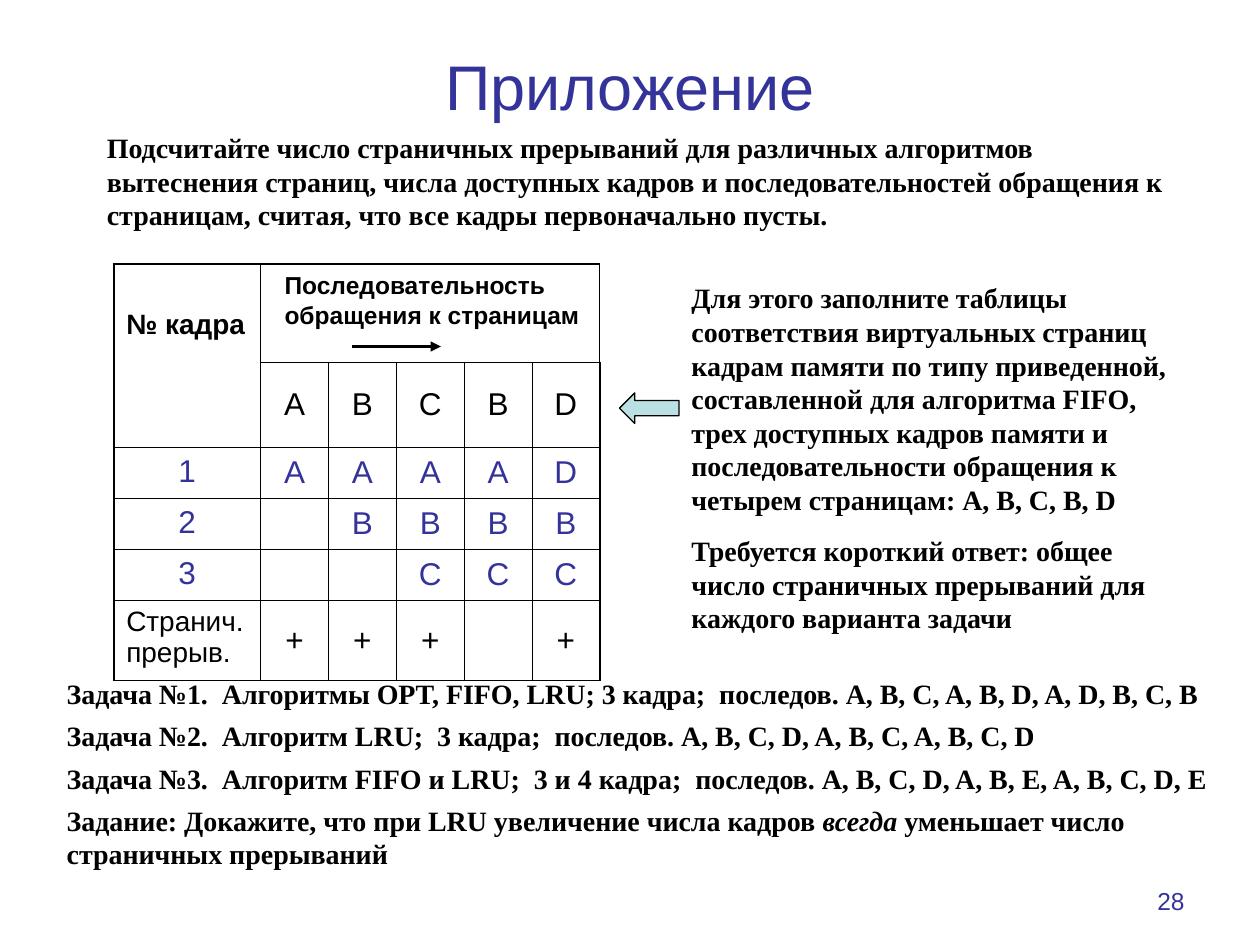
import pptx
import pptx.dml.color
import pptx.enum.dml
import pptx.enum.shapes
import pptx.enum.text
import pptx.oxml
import pptx.oxml.ns
import pptx.util
from lxml import etree

Pt = pptx.util.Pt
ALIGN = pptx.enum.text.PP_ALIGN
ANCHOR = pptx.enum.text.MSO_ANCHOR
COLORS = {"black": "000000", "navy": "333399", "arrow": "BBE0E3"}
BODY = {"name": "Times New Roman", "size": Pt(16), "bold": True}
ARIAL = {"name": "Arial", "size": Pt(18), "bold": False}

INTRO = ["Подсчитайте число страничных прерываний для различных алгоритмов "
         "вытеснения страниц, числа доступных кадров и последовательностей "
         "обращения к страницам, считая, что все кадры первоначально пусты."]
GUIDE = ["Для этого заполните таблицы соответствия виртуальных страниц кадрам "
         "памяти по типу приведенной, составленной для алгоритма FIFO, трех "
         "доступных кадров памяти и последовательности обращения к четырем "
         "страницам: А, B, C, B, D",
         "Требуется короткий ответ: общее число страничных прерываний для "
         "каждого варианта задачи"]
TASKS = ["Задача №1.  Алгоритмы OPT, FIFO, LRU; 3 кадра;  последов. "
         "A, B, C, A, B, D, A, D, B, C, B",
         "Задача №2.  Алгоритм LRU;  3 кадра;  последов. "
         "A, B, C, D, A, B, C, A, B, C, D",
         "Задача №3.  Алгоритм FIFO и LRU;  3 и 4 кадра;  последов. "
         "A, B, C, D, A, B, E, A, B, C, D, E",
         "Задание: Докажите, что при LRU увеличение числа кадров *всегда* "
         "уменьшает число страничных прерываний"]
FRAMES = [["№ кадра", "", "", "", "", ""],
          ["", "А", "B", "C", "B", "D"],
          ["1", "А", "A", "A", "A", "D"],
          ["2", "", "B", "B", "B", "B"],
          ["3", "", "", "C", "C", "C"],
          ["Cтранич. прерыв.", "+", "+", "+", "", "+"]]
ROW_HEIGHTS = [56, 31, 29, 29, 29, 46]
COL_WIDTHS = [84] + [38.75] * 5


def rgb(color):
    return pptx.dml.color.RGBColor.from_string(COLORS[color])


def write(tf, paragraphs, font, color="black", align=ALIGN.LEFT, before=0):
    """Fill a text frame; words between asterisks become italic."""
    tf.word_wrap = True
    for i, text in enumerate(paragraphs):
        p = tf.paragraphs[0] if i == 0 else tf.add_paragraph()
        p.alignment, p.space_before = align, Pt(before)
        for j, part in enumerate(text.split("*")):
            r = p.add_run()
            r.text = part
            for key, value in font.items():
                setattr(r.font, key, value)
            r.font.color.rgb = rgb(color)
            if j % 2:
                r.font.italic = True


def add_text(s, box, paragraphs, font, **style):
    sp = s.shapes.add_textbox(*map(Pt, box))
    write(sp.text_frame, paragraphs, font, **style)


def set_title(s, box, text):
    sp = s.shapes.title
    sp.left, sp.top, sp.width, sp.height = map(Pt, box)
    sp.text_frame.vertical_anchor = ANCHOR.MIDDLE
    write(sp.text_frame, [text], {**ARIAL, "size": Pt(36)}, "navy", ALIGN.CENTER)


def set_borders(cell, widths):
    """Draw cell edges; widths maps L, R, T, B to points."""
    tcPr = cell._tc.get_or_add_tcPr()
    for i, (side, width) in enumerate(widths.items()):
        ln = pptx.oxml.parse_xml(
            f'<a:ln{side} {pptx.oxml.ns.nsdecls("a")} w="{int(Pt(width))}">'
            f'<a:solidFill><a:srgbClr val="{COLORS["black"]}"/></a:solidFill>'
            f'</a:ln{side}>')
        tcPr.insert(i, ln)


def format_cell(cell, text, row, col):
    last_row, last_col = len(ROW_HEIGHTS) - 1, len(COL_WIDTHS) - 1
    cell.fill.background()
    outer = {"L": col == 0, "R": col == last_col,
             "T": row == 0, "B": row == last_row}
    set_borders(cell, {k: 1.08 if edge else 0.45 for k, edge in outer.items()})
    label = col == 0 and row in (0, last_row)
    cell.vertical_anchor = ANCHOR.TOP if col == 0 else ANCHOR.MIDDLE
    if text:
        font = {**ARIAL, "size": Pt(16 if label else 18), "bold": row == 0}
        write(cell.text_frame, [text], font,
              "navy" if 2 <= row < last_row else "black",
              ALIGN.LEFT if label else ALIGN.CENTER, 4)


def add_frame_table(s, left, top):
    """Page table with its header caption and direction arrow."""
    add_text(s, (left + 90.5, top, 193, 41),
             ["Последовательность обращения к страницам"],
             {**ARIAL, "size": Pt(14), "bold": True})
    box = (left, top, sum(COL_WIDTHS), sum(ROW_HEIGHTS))
    table = s.shapes.add_table(len(ROW_HEIGHTS), len(COL_WIDTHS),
                               *map(Pt, box)).table
    table.first_row = table.horz_banding = False
    for col, width in zip(table.columns, COL_WIDTHS):
        col.width = Pt(width)
    for i, (row, height) in enumerate(zip(table.rows, ROW_HEIGHTS)):
        row.height = Pt(height)
        for j, text in enumerate(FRAMES[i]):
            format_cell(table.cell(i, j), text, i, j)
    table.cell(0, 0).margin_top = Pt(26)
    table.cell(0, 0).merge(table.cell(1, 0))
    table.cell(0, 1).merge(table.cell(0, len(COL_WIDTHS) - 1))
    add_direction(s, left + 136, top + 47, 51)


def add_direction(s, left, top, length):
    line = s.shapes.add_connector(pptx.enum.shapes.MSO_CONNECTOR.STRAIGHT,
                                  *map(Pt, (left, top, left + length, top)))
    line.line.color.rgb = rgb("black")
    line.line.width = Pt(1.5)
    qn = pptx.oxml.ns.qn
    etree.SubElement(line.line._get_or_add_ln(), qn("a:tailEnd"), type="triangle")
    etree.SubElement(line._element.spPr, qn("a:effectLst"))


def add_guide(s, left, top):
    """Instructions with the arrow pointing back to the table."""
    add_text(s, (left, top, 300, 210), GUIDE, BODY, before=10)
    sp = s.shapes.add_shape(pptx.enum.shapes.MSO_SHAPE.LEFT_ARROW,
                            *map(Pt, (left - 34, top + 67.5, 34, 17.5)))
    sp.shadow.inherit = False
    sp.fill.solid()
    sp.fill.fore_color.rgb = rgb("arrow")
    sp.line.color.rgb = rgb("black")
    sp.line.width = Pt(0.75)


def main():
    prs = pptx.Presentation()
    prs.slide_width, prs.slide_height = Pt(720), Pt(540)
    s = prs.slides.add_slide(prs.slide_layouts[5])
    set_title(s, (36, 4, 648, 90), "Приложение")
    add_frame_table(s, 65, 151)
    add_text(s, (54, 71, 624, 65), INTRO, BODY)
    add_guide(s, 388, 157)
    add_text(s, (31, 383, 675, 118), TASKS, BODY, before=5)
    add_text(s, (516, 502.5, 168, 37.5), ["28"], {**ARIAL, "size": Pt(14)},
             color="navy", align=ALIGN.RIGHT)
    prs.save("out.pptx")


if __name__ == "__main__":
    main()
